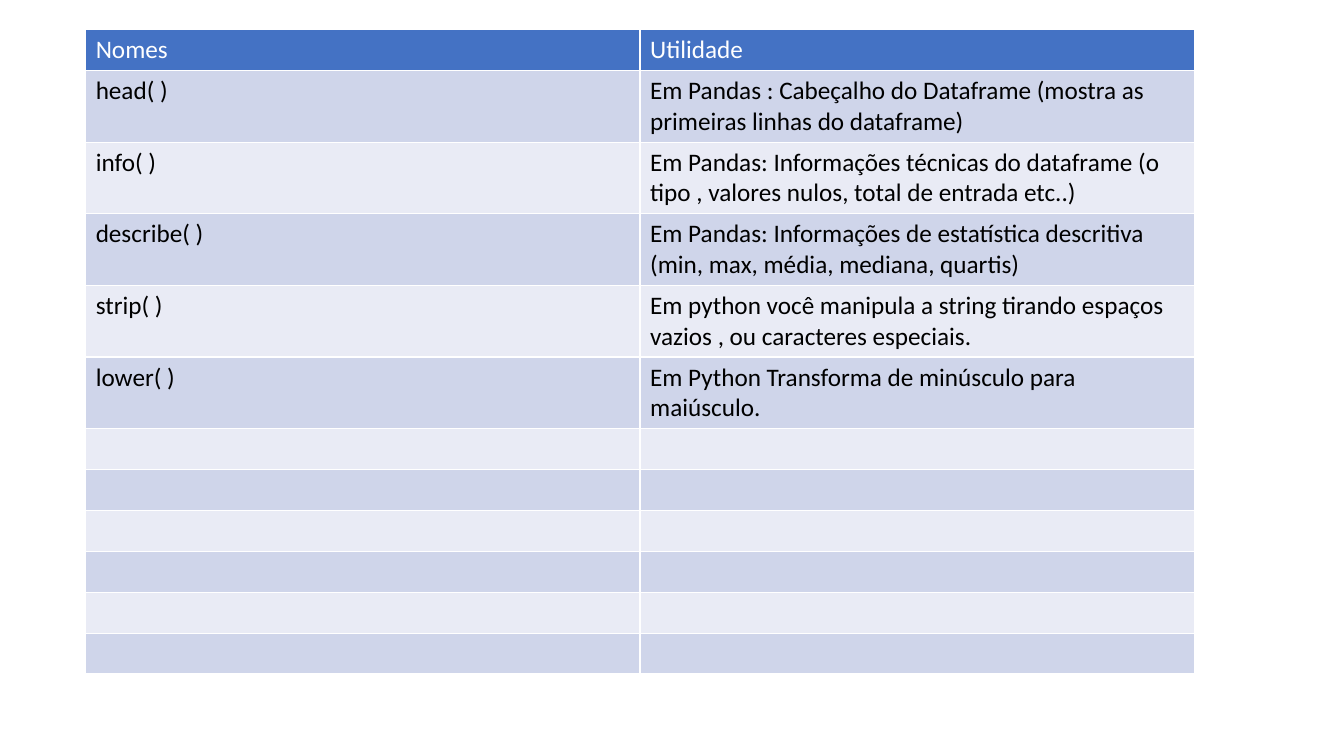
from pptx import Presentation
from pptx.dml.color import RGBColor
from pptx.util import Pt

WHITE = RGBColor(0xFF, 0xFF, 0xFF)
BLACK = RGBColor(0x00, 0x00, 0x00)
HEADER_BLUE = RGBColor(0x44, 0x72, 0xC4)
BAND_DARK = RGBColor(0xCF, 0xD5, 0xEA)
BAND_LIGHT = RGBColor(0xE9, 0xEB, 0xF5)

EMPTY_ROWS = 6
FUNCTIONS = [
    ("Nomes", "Utilidade"),
    ("head( )", "Em Pandas : Cabeçalho do Dataframe (mostra as primeiras linhas do dataframe)"),
    ("info( )", "Em Pandas: Informações técnicas do dataframe (o tipo , valores nulos, total de entrada etc..)"),
    ("describe( )", "Em Pandas: Informações de estatística descritiva (min, max, média, mediana, quartis)"),
    ("strip( )", "Em python você manipula a string tirando espaços vazios , ou caracteres especiais."),
    ("lower( )", "Em Python Transforma de minúsculo para maiúsculo."),
] + [("", "")] * EMPTY_ROWS


def write_text(frame, text, font="Calibri", size=18, color=BLACK, bold=False):
    run = frame.paragraphs[0].add_run()
    run.text = text
    run.font.name = font
    run.font.size = Pt(size)
    run.font.bold = bold
    run.font.color.rgb = color


class SlideBuilder:
    font = "Calibri"
    size = 18

    def __init__(self, presentation):
        self.slide = presentation.slides.add_slide(presentation.slide_layouts[6])

    def table(self, rows, left, top, width, height, row_height):
        shape = self.slide.shapes.add_table(
            len(rows), len(rows[0]), Pt(left), Pt(top), Pt(width), Pt(height))
        table = shape.table
        for row_index, texts in enumerate(rows):
            table.rows[row_index].height = Pt(row_height)
            for column_index, text in enumerate(texts):
                self.cell(table.cell(row_index, column_index), text, row_index)
        shape.height = Pt(height)

    def cell(self, cell, text, row_index):
        is_header = row_index == 0
        band = BAND_DARK if row_index % 2 else BAND_LIGHT
        cell.fill.solid()
        cell.fill.fore_color.rgb = HEADER_BLUE if is_header else band
        if text:
            write_text(cell.text_frame, text, font=self.font, size=self.size,
                       color=WHITE if is_header else BLACK)


def main():
    presentation = Presentation()
    presentation.slide_width = Pt(960)
    presentation.slide_height = Pt(540)
    builder = SlideBuilder(presentation)
    builder.table(FUNCTIONS, left=61.2, top=21.2, width=792, height=456.4, row_height=29.2)
    presentation.save("out.pptx")


if __name__ == "__main__":
    main()
